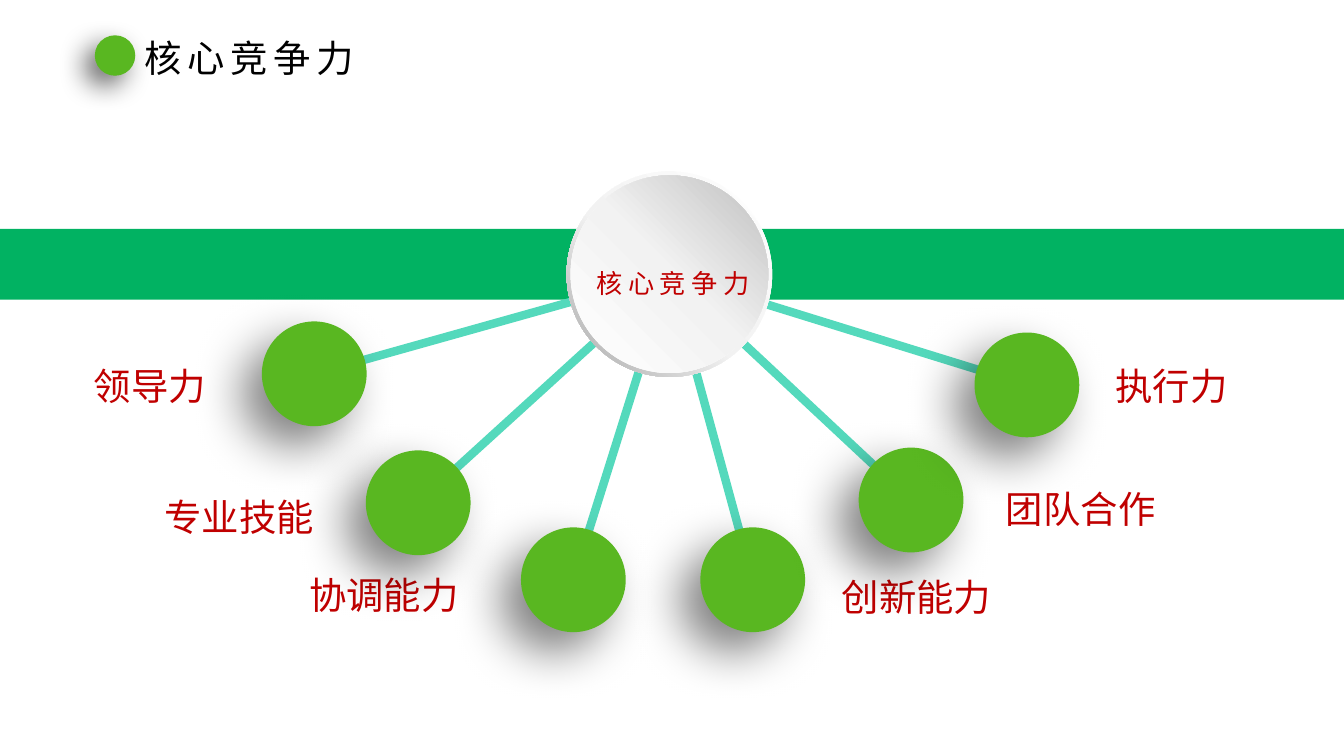
from copy import deepcopy

from lxml.etree import SubElement
from pptx import Presentation
from pptx.dml.color import RGBColor
from pptx.enum.shapes import MSO_CONNECTOR, MSO_SHAPE
from pptx.enum.text import MSO_ANCHOR, MSO_AUTO_SIZE, PP_ALIGN
from pptx.oxml.ns import qn
from pptx.util import Cm, Pt

WIDE, HIGH = 33.87, 19.05
HUB = (16.87, 6.91)
BALL = 2.64

# label, label left and top, ball centre
SKILLS = [
    ("专业技能", 3.89, 12.32, 10.54, 12.67),
    ("协调能力", 7.54, 14.3, 14.45, 14.61),
    ("创新能力", 20.96, 14.35, 18.97, 14.61),
    ("团队合作", 25.1, 12.12, 22.96, 12.6),
    ("执行力", 27.86, 9.02, 25.88, 9.7),
    ("领导力", 2.11, 9.02, 7.92, 9.42),
]


def rgb(code):
    return RGBColor.from_string(code)


class Board:
    font = "Noto Sans CJK SC"
    green, band, mint = "59B721", "01B262", "54D9BC"
    red, black = "C00000", "000000"

    def __init__(self, slide):
        self.slide = slide

    def shape(self, kind, x, y, w, h, fill=None):
        item = self.slide.shapes.add_shape(kind, Cm(x), Cm(y), Cm(w), Cm(h))
        item.shadow.inherit = False
        item.line.fill.background()
        if fill:
            item.fill.solid()
            item.fill.fore_color.rgb = rgb(fill)
        return item

    def disc(self, center, size, fill=None, kind=MSO_SHAPE.OVAL):
        x, y = center
        return self.shape(kind, x - size / 2, y - size / 2, size, size, fill)

    def ball(self, center, size, alpha, blur, dist):
        """Green disc whose shadow falls to the lower left."""
        item = self.disc(center, size, self.green)
        effect = item._element.spPr.find(qn("a:effectLst"))
        shade = SubElement(effect, qn("a:outerShdw"), blurRad=str(Pt(blur)),
                           dist=str(Pt(dist)), dir=str(135 * 60000),
                           algn="tr", rotWithShape="0")
        color = SubElement(shade, qn("a:srgbClr"), val=self.black)
        SubElement(color, qn("a:alpha"), val=str(alpha * 1000))

    def blend(self, item, angle, stops):
        """Linear gradient; the angle runs counterclockwise."""
        item.fill.gradient()
        item.fill.gradient_angle = angle
        first = item._element.spPr.find(".//" + qn("a:gs"))
        for _ in stops[2:]:
            first.addnext(deepcopy(first))
        for stop, (place, code) in zip(item.fill.gradient_stops, stops):
            stop.position = place
            stop.color.rgb = rgb(code)

    def ray(self, start, end):
        points = [Cm(v) for v in start + end]
        line = self.slide.shapes.add_connector(MSO_CONNECTOR.STRAIGHT, *points)
        line.line.color.rgb = rgb(self.mint)
        line.line.width = Pt(6)
        SubElement(line._element.spPr, qn("a:effectLst"))

    def words(self, item, text, size, color, space=0):
        frame = item.text_frame
        frame.text = text
        frame.word_wrap = False
        frame.auto_size = MSO_AUTO_SIZE.SHAPE_TO_FIT_TEXT
        frame.vertical_anchor = MSO_ANCHOR.TOP
        para = frame.paragraphs[0]
        para.alignment = PP_ALIGN.LEFT
        font = para.runs[0].font
        font.size = Pt(size)
        font.name = self.font
        font.color.rgb = rgb(color)
        props = para.runs[0]._r.get_or_add_rPr()
        SubElement(props, qn("a:ea"), typeface=self.font)
        if space:
            props.set("spc", str(space * 100))

    def title(self, text, x, y, w, h):
        item = self.slide.shapes.title
        item.left, item.top, item.width, item.height = map(Cm, (x, y, w, h))
        self.words(item, text, 26.7, self.black, 4)

    def label(self, text, x, y, w, h, size=26.7, space=0):
        item = self.slide.shapes.add_textbox(Cm(x), Cm(y), Cm(w), Cm(h))
        self.words(item, text, size, self.red, space)


def main():
    deck = Presentation()
    deck.slide_width, deck.slide_height = Cm(WIDE), Cm(HIGH)
    board = Board(deck.slides.add_slide(deck.slide_layouts[5]))

    board.shape(MSO_SHAPE.RECTANGLE, 0, 5.77, WIDE, 1.78, board.band)
    board.ball((2.9, 1.4), 1.02, 60, 20, 10)
    board.title("核心竞争力", 3.38, 0.76, 5.97, 1.4)

    for text, x, y, *_ in SKILLS:
        board.label(text, x, y, 0.95 * len(text) + 0.5, 1.4)
    for *_, x, y in SKILLS:
        board.ray(HUB, (x, y))
    for *_, x, y in SKILLS:
        board.ball((x, y), BALL, 50, 35, 20)

    ring = board.disc(HUB, 5.18, kind=MSO_SHAPE.DONUT)
    ring.adjustments[0] = 0.05
    board.blend(ring, 225, [(0, "FFFFFF"), (0.55, "F2F2F2"), (1, "A6A6A6")])
    core = board.disc(HUB, 4.98)
    board.blend(core, 45, [(0, "FFFFFF"), (0.51, "F2F2F2"), (1, "BFBFBF")])
    board.label("核心竞争力", 14.78, 6.6, 4.55, 1.07, 18.7, 4)

    deck.save("out.pptx")


if __name__ == "__main__":
    main()
